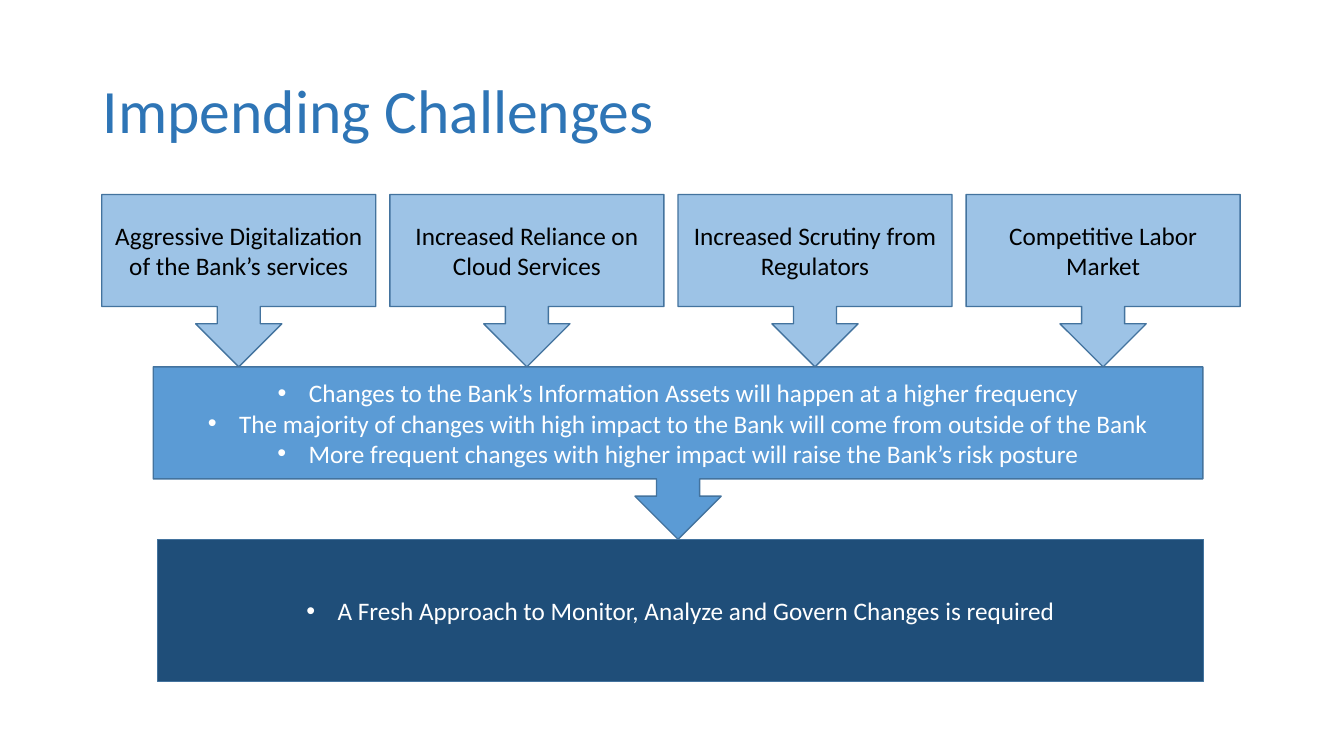
import pptx
import pptx.util
import pptx.dml.color
import pptx.enum.shapes
import pptx.enum.text
import lxml.etree

Inches, Pt = pptx.util.Inches, pptx.util.Pt
SHAPE = pptx.enum.shapes.MSO_SHAPE
ALIGN = pptx.enum.text.PP_ALIGN
MIDDLE = pptx.enum.text.MSO_ANCHOR.MIDDLE
A = "{http://schemas.openxmlformats.org/drawingml/2006/main}"


def rgb(value):
    return pptx.dml.color.RGBColor.from_string(value)


def set_font(p, size, color):
    p.font.name = "Calibri"
    p.font.size = Pt(size)
    p.font.color.rgb = rgb(color)


def add_bullet(p):
    pPr = p._p.get_or_add_pPr()
    pPr.set("marL", str(Inches(0.31)))
    pPr.set("indent", str(-Inches(0.31)))
    bullet_font = lxml.etree.Element(A + "buFont", typeface="Arial")
    bullet_char = lxml.etree.Element(A + "buChar", char="•")
    pPr.insert(0, bullet_font)
    bullet_font.addnext(bullet_char)


def add_title(s, box, text):
    title = s.shapes.title
    title.left, title.top, title.width, title.height = map(Inches, box)
    tf = title.text_frame
    tf.text = text
    tf.vertical_anchor = MIDDLE
    p = tf.paragraphs[0]
    p.alignment = ALIGN.LEFT
    p.line_spacing = 0.9
    set_font(p, 44, "2E75B6")


def add_panel(s, kind, box, lines, fill, color, bullets=True):
    sp = s.shapes.add_shape(kind, *map(Inches, box))
    sp.shadow.inherit = False
    sp.fill.solid()
    sp.fill.fore_color.rgb = rgb(fill)
    sp.line.color.rgb = rgb("43739E")
    sp.line.width = Pt(1)
    tf = sp.text_frame
    tf.word_wrap = True
    tf.vertical_anchor = MIDDLE
    tf.text = "\n".join(lines)
    for p in tf.paragraphs:
        p.alignment = ALIGN.CENTER
        set_font(p, 18, color)
        if bullets:
            add_bullet(p)


def add_drivers(s, box, texts, gap):
    left, top, width, height = box
    card = (width - gap * (len(texts) - 1)) / len(texts)
    for i, text in enumerate(texts):
        place = (left + i * (card + gap), top, card, height)
        add_panel(s, SHAPE.DOWN_ARROW_CALLOUT, place, [text], "9DC3E6", "000000", False)


def main():
    prs = pptx.Presentation()
    prs.slide_width, prs.slide_height = Inches(13.33), Inches(7.5)
    s = prs.slides.add_slide(prs.slide_layouts[5])
    add_title(s, (0.92, 0.4, 11.5, 1.45), "Impending Challenges")
    add_drivers(s, (1.01, 1.93, 11.29, 1.71), [
        "Aggressive Digitalization of the Bank’s services",
        "Increased Reliance on Cloud Services",
        "Increased Scrutiny from Regulators",
        "Competitive Labor Market",
    ], 0.14)
    add_panel(s, SHAPE.RECTANGLE, (1.56, 5.35, 10.38, 1.41), [
        "A Fresh Approach to Monitor, Analyze and Govern Changes is required",
    ], "1F4E79", "FFFFFF")
    add_panel(s, SHAPE.DOWN_ARROW_CALLOUT, (1.52, 3.64, 10.41, 1.71), [
        "Changes to the Bank’s Information Assets will happen at a higher frequency",
        "The majority of changes with high impact to the Bank will come from outside of the Bank",
        "More frequent changes with higher impact will raise the Bank’s risk posture",
    ], "5B9BD5", "FFFFFF")
    prs.save("out.pptx")


if __name__ == "__main__":
    main()
